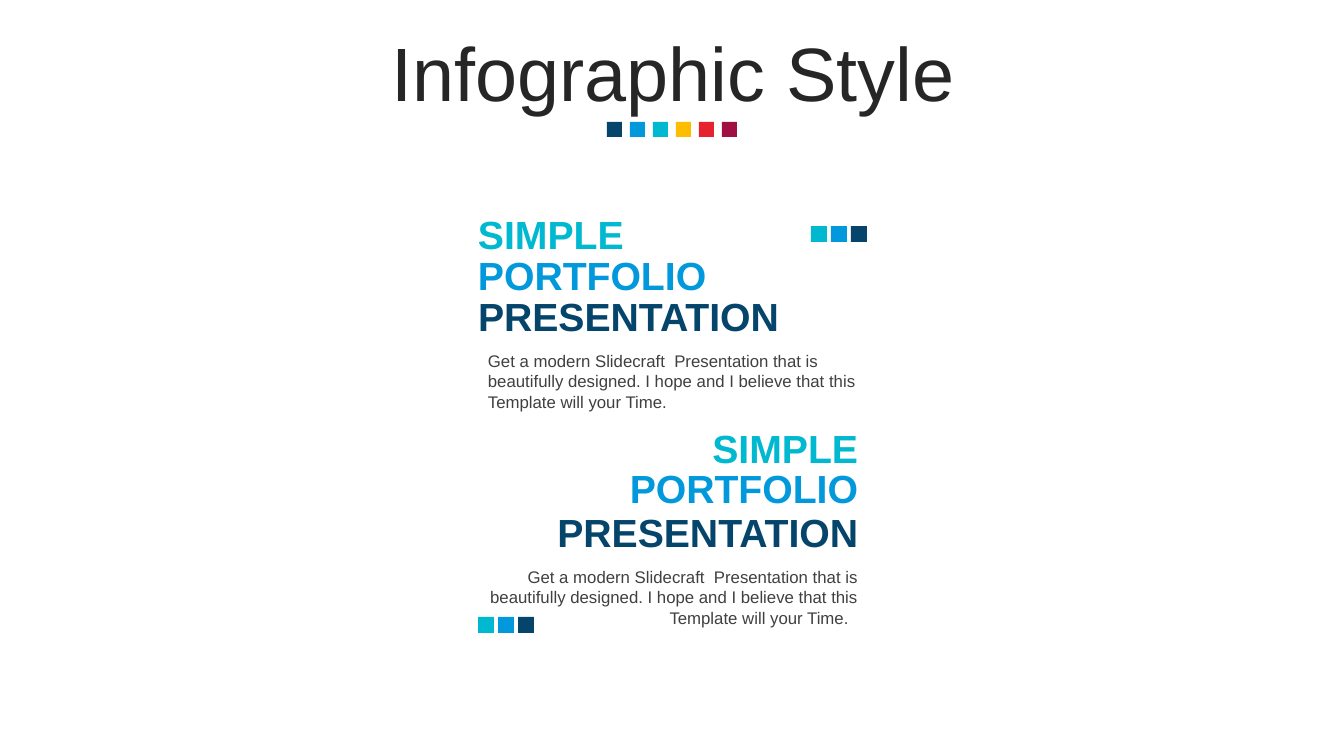
from pptx import Presentation
from pptx.dml.color import RGBColor
from pptx.enum.shapes import MSO_SHAPE
from pptx.enum.text import MSO_ANCHOR, MSO_AUTO_SIZE, PP_ALIGN
from pptx.util import Emu, Pt

FONT = "Arial"
NAVY, BLUE, CYAN = "05456B", "0199DC", "00B8D0"
YELLOW, RED, WINE = "FEBD00", "E7222F", "A10E42"
INK, GREY = "262626", "404040"

# Word, colour and box width of each headline line
HEADLINE = [("SIMPLE", CYAN, 172), ("PORTFOLIO", BLUE, 252), ("PRESENTATION", NAVY, 316)]
BLURB = ("Get a modern Slidecraft  Presentation that is beautifully designed. "
         "I hope and I believe that this Template will your Time.")

# Edges shared by both text blocks
LEFT, RIGHT = 478, 868


def px(length):
    return Emu(round(length * 914400 / 100.8))


def rgb(colour):
    return RGBColor.from_string(colour)


def add_line(frame, text, size, colour, align, bold=False):
    paragraph = frame.paragraphs[0]
    paragraph.alignment = align
    run = paragraph.add_run()
    run.text = text
    run.font.name = FONT
    run.font.size = Pt(size)
    run.font.bold = bold
    run.font.color.rgb = rgb(colour)
    return paragraph


def add_title(slide, text):
    title = slide.shapes.title
    title.left, title.top, title.width, title.height = px(35), px(37), px(1276), px(80)
    frame = title.text_frame
    frame.auto_size = MSO_AUTO_SIZE.NONE
    frame.vertical_anchor = MSO_ANCHOR.MIDDLE
    add_line(frame, text, 54, INK, PP_ALIGN.CENTER).line_spacing = 0.9


def add_squares(slide, left, top, size, pitch, colours):
    for i, colour in enumerate(colours):
        square = slide.shapes.add_shape(
            MSO_SHAPE.RECTANGLE, px(left + i * pitch), px(top), px(size), px(size))
        square.shadow.inherit = False
        square.fill.solid()
        square.fill.fore_color.rgb = rgb(colour)
        square.line.fill.background()


def add_text_box(slide, top, width, height, align):
    left = RIGHT - width if align == PP_ALIGN.RIGHT else LEFT
    frame = slide.shapes.add_textbox(px(left), px(top), px(width), px(height)).text_frame
    frame.word_wrap = True
    return frame


def add_headline(slide, tops, align):
    for top, (word, colour, width) in zip(tops, HEADLINE):
        frame = add_text_box(slide, top, width, 36, align)
        frame.margin_left = 0
        frame.vertical_anchor = MSO_ANCHOR.MIDDLE
        add_line(frame, word, 28, colour, align, bold=True)


def add_blurb(slide, top, text, align):
    frame = add_text_box(slide, top, RIGHT - LEFT, 72, align)
    add_line(frame, text, 12, GREY, align)


def main():
    deck = Presentation()
    deck.slide_width, deck.slide_height = px(1344), px(756)
    slide = deck.slides.add_slide(deck.slide_layouts[5])

    # Title with its colour strip
    add_squares(slide, 607, 122, 15, 23, [NAVY, BLUE, CYAN, YELLOW, RED, WINE])
    add_title(slide, "Infographic Style")

    # Corner accents
    for left, top in [(811, 226), (478, 617)]:
        add_squares(slide, left, top, 16, 20, [CYAN, BLUE, NAVY])

    # Left-aligned block, then right-aligned block
    add_headline(slide, [216, 257, 298], PP_ALIGN.LEFT)
    add_blurb(slide, 346, BLURB, PP_ALIGN.LEFT)
    add_headline(slide, [430, 470, 514], PP_ALIGN.RIGHT)
    add_blurb(slide, 562, BLURB + "  ", PP_ALIGN.RIGHT)

    deck.save("out.pptx")


if __name__ == "__main__":
    main()
